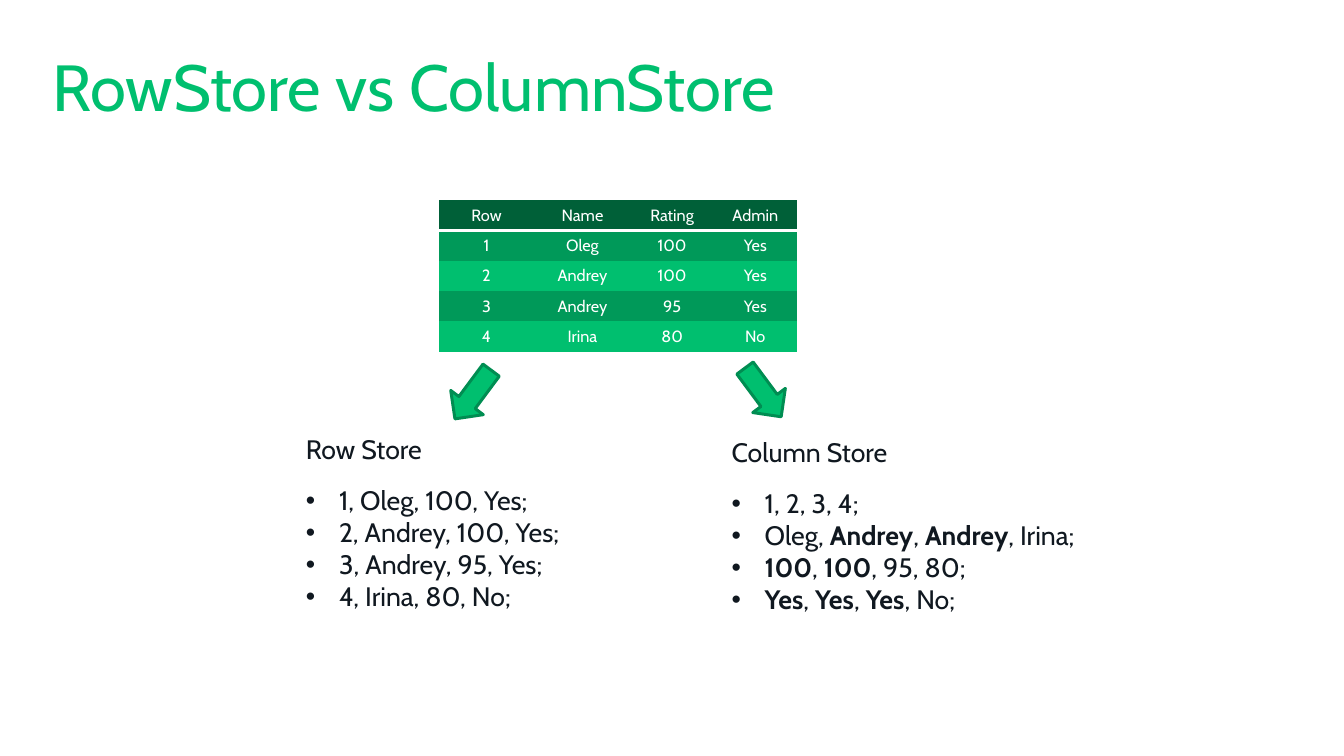
"""Build a slide that compares row storage with column storage."""
from lxml import etree
from pptx import Presentation
from pptx.dml.color import RGBColor
from pptx.enum.shapes import MSO_SHAPE
from pptx.enum.text import MSO_ANCHOR, PP_ALIGN
from pptx.oxml.ns import qn
from pptx.util import Pt

RIGHT_ARROW = MSO_SHAPE.RIGHT_ARROW
MIDDLE = MSO_ANCHOR.MIDDLE
CENTER = PP_ALIGN.CENTER

FONT = "Cabin"
NO_STYLE = "{2D5ABB26-0587-4C30-8999-92F81FD0307C}"
COLORS = {
    "green": "00BF6F",
    "band": "009959",
    "header": "006038",
    "outline": "008D52",
    "text": "101820",
    "white": "FFFFFF",
}

TITLE = "RowStore vs ColumnStore"
TABLE = [
    ("Row", "Name", "Rating", "Admin"),
    ("1", "Oleg", "100", "Yes"),
    ("2", "Andrey", "100", "Yes"),
    ("3", "Andrey", "95", "Yes"),
    ("4", "Irina", "80", "No"),
]
COL_WIDTHS = (64.8, 64.8, 56.2, 56.2)
ROW_HEIGHT = 20.45
BOLD_MARK = "*"
STORES = [
    {
        "box": (199.4, 288.7, 254.2, 129.6),
        "heading": "Row Store",
        "items": [", ".join(row) + ";" for row in TABLE[1:]],
        "arrow": (298.8, 252.7, 126.6),
    },
    {
        "box": (486.7, 290.9, 315.4, 129.6),
        "heading": "Column Store",
        "items": [
            "1, 2, 3, 4;",
            "Oleg, *Andrey*, *Andrey*, Irina;",
            "*100*, *100*, 95, 80;",
            "*Yes*, *Yes*, *Yes*, No;",
        ],
        "arrow": (494.6, 251.3, 53.4),
    },
]
ARROW_SIZE = (41, 27.4)
BULLET_INDENT = 22.4


def rgb(name):
    return RGBColor.from_string(COLORS[name])


def style(p, size, color):
    p.font.name = FONT
    p.font.size = Pt(size)
    p.font.color.rgb = rgb(color)


def add_text_frame(slide, box):
    tf = slide.shapes.add_textbox(*map(Pt, box)).text_frame
    tf.word_wrap = True
    return tf


def add_bullet(p):
    pPr = p._p.get_or_add_pPr()
    pPr.set("marL", str(Pt(BULLET_INDENT)))
    pPr.set("indent", str(-Pt(BULLET_INDENT)))
    font = etree.Element(qn("a:buFont"), typeface="Arial")
    char = etree.Element(qn("a:buChar"), char="•")
    pPr.insert_element_before(font, "a:buChar", "a:defRPr")
    pPr.insert_element_before(char, "a:defRPr")


def add_bottom_border(cell):
    line = etree.Element(qn("a:lnB"), w=str(Pt(2)))
    fill = etree.SubElement(line, qn("a:solidFill"))
    etree.SubElement(fill, qn("a:srgbClr"), val=COLORS["white"])
    cell._tc.get_or_add_tcPr().insert(0, line)


def add_table(slide):
    size = (sum(COL_WIDTHS), ROW_HEIGHT * len(TABLE))
    frame = slide.shapes.add_table(
        len(TABLE), len(COL_WIDTHS), *map(Pt, (296, 135.2, *size)))
    table = frame.table
    table._tbl.tblPr.find(qn("a:tableStyleId")).text = NO_STYLE
    for column, width in zip(table.columns, COL_WIDTHS):
        column.width = Pt(width)
    for i, values in enumerate(TABLE):
        table.rows[i].height = Pt(ROW_HEIGHT)
        fill = "header" if i == 0 else "band" if i % 2 else "green"
        for j, value in enumerate(values):
            cell = table.cell(i, j)
            cell.fill.solid()
            cell.fill.fore_color.rgb = rgb(fill)
            cell.vertical_anchor = MIDDLE
            cell.margin_top = cell.margin_bottom = Pt(3)
            p = cell.text_frame.paragraphs[0]
            p.text = value
            p.alignment = CENTER
            style(p, 11, "white")
            if i == 0:
                add_bottom_border(cell)


def add_store(slide, store):
    tf = add_text_frame(slide, store["box"])
    p = tf.paragraphs[0]
    p.text = store["heading"]
    p.space_after = Pt(13)
    style(p, 18, "text")
    for item in store["items"]:
        p = tf.add_paragraph()
        style(p, 18, "text")
        add_bullet(p)
        for k, part in enumerate(item.split(BOLD_MARK)):
            if part:
                r = p.add_run()
                r.text = part
                r.font.bold = k % 2 == 1


def add_arrow(slide, left, top, rotation):
    sp = slide.shapes.add_shape(
        RIGHT_ARROW, *map(Pt, (left, top, *ARROW_SIZE)))
    sp.rotation = rotation
    sp.shadow.inherit = False
    sp.fill.solid()
    sp.fill.fore_color.rgb = rgb("green")
    sp.line.color.rgb = rgb("outline")
    sp.line.width = Pt(2)


def main():
    prs = Presentation()
    prs.slide_width, prs.slide_height = Pt(907.2), Pt(510.5)
    slide = prs.slides.add_slide(prs.slide_layouts[6])
    p = add_text_frame(slide, (28.1, 28.1, 850.3, 56.9)).paragraphs[0]
    p.text = TITLE
    style(p, 44, "green")
    add_table(slide)
    for store in STORES:
        add_store(slide, store)
        add_arrow(slide, *store["arrow"])
    prs.save("out.pptx")


if __name__ == "__main__":
    main()
